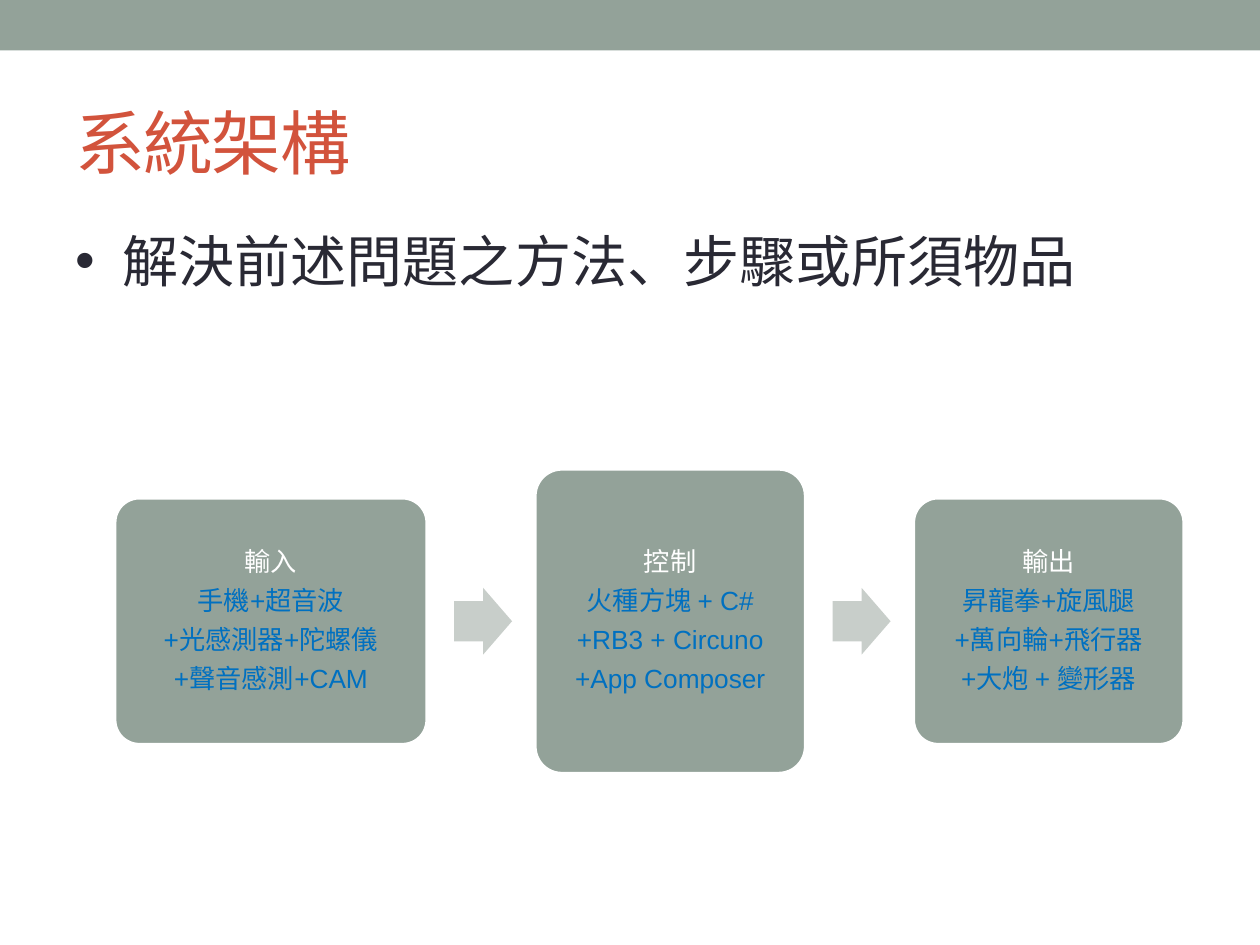
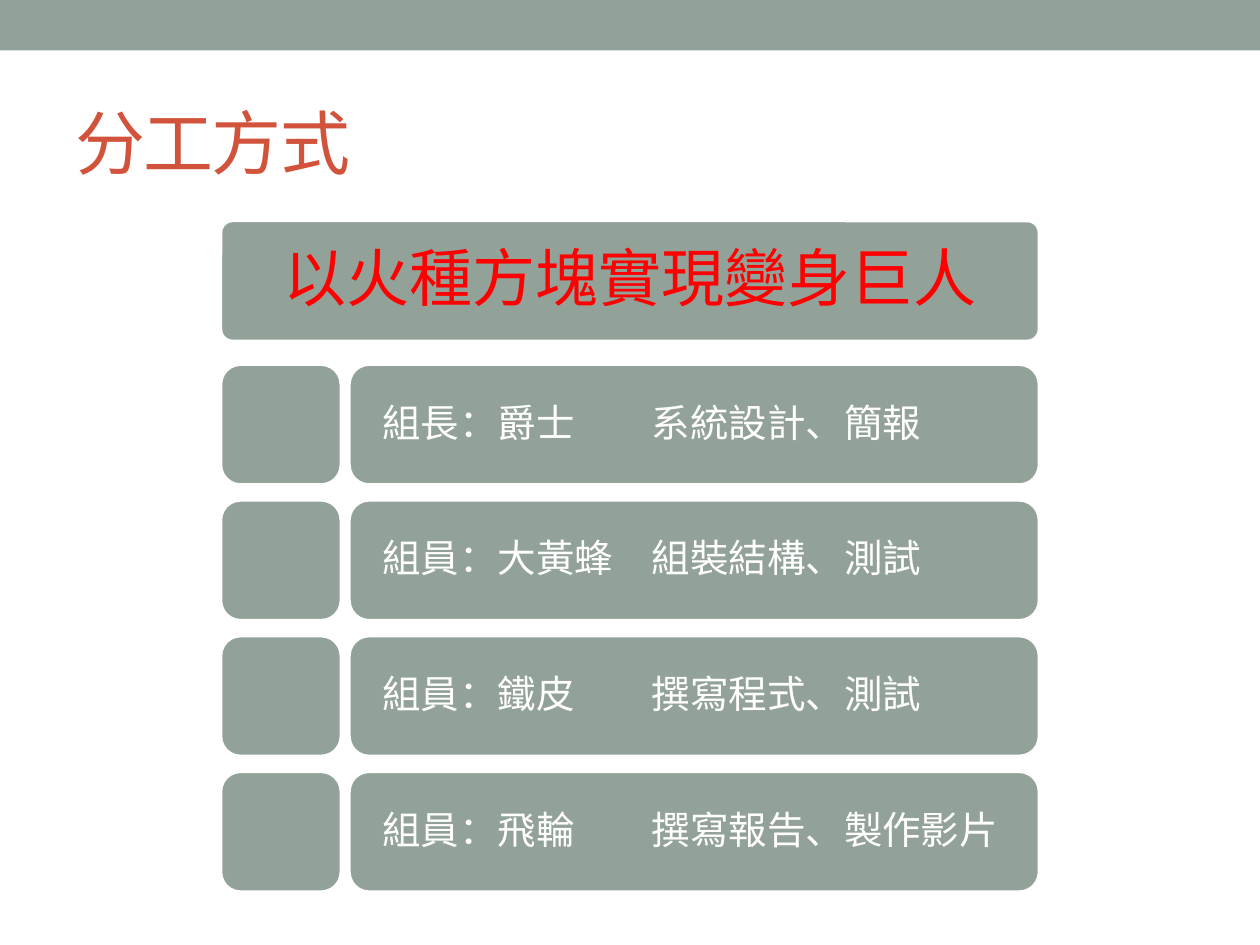
"""Build the system architecture and division of work slides."""
from pptx import Presentation
from pptx.dml.color import RGBColor
from pptx.enum import shapes, text
from pptx.oxml import ns, xmlchemy
from pptx.util import Pt

SAGE = RGBColor(0x93, 0xA2, 0x99)
PALE_SAGE = RGBColor(0xC8, 0xCE, 0xCA)
BRICK = RGBColor(0xD2, 0x53, 0x3C)
INK = RGBColor(0x29, 0x29, 0x34)
BLUE = RGBColor(0x00, 0x70, 0xC0)
RED = RGBColor(0xFF, 0x00, 0x00)
WHITE = RGBColor(0xFF, 0xFF, 0xFF)
FONT = "Arial"

ARCHITECTURE_TITLE = "系統架構"
ARCHITECTURE_POINT = "解決前述問題之方法、步驟或所須物品"
STAGES = [
    {"name": "輸入", "size": (178.6, 141.1),
     "parts": ["手機+超音波", "+光感測器+陀螺儀", "+聲音感測+CAM"]},
    {"name": "控制", "size": (154.8, 174.2),
     "parts": ["火種方塊 + C#", "+RB3 + Circuno", "+App Composer"]},
    {"name": "輸出", "size": (154.8, 141.1),
     "parts": ["昇龍拳+旋風腿", "+萬向輪+飛行器", "+大炮 + 變形器"]},
]
WORK_TITLE = "分工方式"
PROJECT = "以火種方塊實現變身巨人"
MEMBERS = [
    ("組長：爵士", "系統設計、簡報"),
    ("組員：大黃蜂", "組裝結構、測試"),
    ("組員：鐵皮", "撰寫程式、測試"),
    ("組員：飛輪", "撰寫報告、製作影片"),
]

SLIDE_WIDTH, SLIDE_HEIGHT = 720, 540
BAND_HEIGHT = 28.8
TITLE_AREA = (36, 41.8, 648, 77.8)
BODY_AREA = (36, 126, 648, 356.4)
FLOW_LEFT, FLOW_MIDDLE = 65.5, 355
ARROW_WIDTH, ARROW_HEIGHT = 33.1, 38.2
GAP_BEFORE_ARROW, GAP_AFTER_ARROW = 15.4, 13
CHART_LEFT, CHART_TOP, CHART_WIDTH = 126, 126, 468
ROW_HEIGHT, ROW_PITCH, FIRST_ROW_TOP = 69.1, 77.55, 208.1
BADGE_GAP = 4.3
TASK_TAB = 154


def apply(target, values):
    """Set each named attribute of the target."""
    for name, value in values.items():
        setattr(target, name, value)


def place(shape, area):
    """Move a shape to an area given in points."""
    apply(shape, dict(zip(("left", "top", "width", "height"), map(Pt, area))))


def write(paragraph, content, size, color):
    """Add one formatted run to a paragraph."""
    run = paragraph.add_run()
    run.text = content
    apply(run.font, {"name": FONT, "size": Pt(size)})
    run.font.color.rgb = color
    return run


def add_block(slide, kind, area, fill, adjustments=(), outlined=False):
    """Add a flat filled shape."""
    shape = slide.shapes.add_shape(kind, *map(Pt, area))
    shape.shadow.inherit = False
    shape.fill.solid()
    shape.fill.fore_color.rgb = fill
    for index, value in enumerate(adjustments):
        shape.adjustments[index] = value
    if outlined:
        shape.line.color.rgb = WHITE
        shape.line.width = Pt(2.08)
    else:
        shape.line.fill.background()
    return shape


def add_card(slide, area, roundness):
    """Add a rounded sage card."""
    return add_block(slide, shapes.MSO_SHAPE.ROUNDED_RECTANGLE, area, SAGE,
                     [roundness], outlined=True)


def fill_card(card, lines, size, inset, alignment):
    """Write (text, colour) lines into a card."""
    frame = card.text_frame
    apply(frame, {"word_wrap": True, "vertical_anchor": text.MSO_ANCHOR.MIDDLE})
    apply(frame, {f"margin_{side}": Pt(inset)
                  for side in ("left", "right", "top", "bottom")})
    for index, (content, color) in enumerate(lines):
        paragraph = frame.add_paragraph() if index else frame.paragraphs[0]
        apply(paragraph, {"alignment": alignment, "line_spacing": 0.9,
                          "space_after": Pt(size * 0.4)})
        write(paragraph, content, size, color)


def add_tab_stop(paragraph, position):
    """Give a paragraph one left tab stop."""
    properties = paragraph._p.get_or_add_pPr()
    tabs = xmlchemy.OxmlElement("a:tabLst")
    tab = tabs.makeelement(ns.qn("a:tab"), {"pos": str(Pt(position)), "algn": "l"})
    tabs.append(tab)
    properties.append(tabs)


def add_page(presentation, layout_index, title):
    """Add a slide with the shared band and title style."""
    slide = presentation.slides.add_slide(presentation.slide_layouts[layout_index])
    add_block(slide, shapes.MSO_SHAPE.RECTANGLE,
              (0, 0, SLIDE_WIDTH, BAND_HEIGHT), SAGE)
    heading = slide.shapes.title
    place(heading, TITLE_AREA)
    heading.text_frame.vertical_anchor = text.MSO_ANCHOR.MIDDLE
    paragraph = heading.text_frame.paragraphs[0]
    paragraph.alignment = text.PP_ALIGN.LEFT
    run = write(paragraph, title, 40, BRICK)
    run._r.get_or_add_rPr().set("spc", "-100")
    return slide


def build_architecture(presentation):
    """Build the flow from input through control to output."""
    slide = add_page(presentation, 1, ARCHITECTURE_TITLE)
    body = slide.placeholders[1]
    place(body, BODY_AREA)
    write(body.text_frame.paragraphs[0], ARCHITECTURE_POINT, 32, INK)
    left = FLOW_LEFT
    for index, stage in enumerate(STAGES):
        if index:
            left += GAP_BEFORE_ARROW
            add_block(slide, shapes.MSO_SHAPE.RIGHT_ARROW,
                      (left, FLOW_MIDDLE - ARROW_HEIGHT / 2, ARROW_WIDTH, ARROW_HEIGHT),
                      PALE_SAGE, [0.6, 0.5])
            left += ARROW_WIDTH + GAP_AFTER_ARROW
        width, height = stage["size"]
        card = add_card(slide, (left, FLOW_MIDDLE - height / 2, width, height), 0.1)
        lines = [(stage["name"], WHITE)] + [(part, BLUE) for part in stage["parts"]]
        fill_card(card, lines, 15, 8.6, text.PP_ALIGN.CENTER)
        left += width


def build_work(presentation):
    """Build the project banner and one row for each member."""
    slide = add_page(presentation, 5, WORK_TITLE)
    banner = add_card(slide, (CHART_LEFT, CHART_TOP, CHART_WIDTH, ROW_HEIGHT), 0.1)
    fill_card(banner, [(PROJECT, RED)], 36, 6, text.PP_ALIGN.CENTER)
    task_offset = ROW_HEIGHT + BADGE_GAP
    for index, member in enumerate(MEMBERS):
        top = FIRST_ROW_TOP + index * ROW_PITCH
        add_card(slide, (CHART_LEFT, top, ROW_HEIGHT, ROW_HEIGHT), 0.167)
        card = add_card(slide, (CHART_LEFT + task_offset, top,
                                CHART_WIDTH - task_offset, ROW_HEIGHT), 0.167)
        fill_card(card, [("\t".join(member), WHITE)], 22, 15.8, text.PP_ALIGN.LEFT)
        add_tab_stop(card.text_frame.paragraphs[0], TASK_TAB)


def main():
    """Build and save the presentation."""
    presentation = Presentation()
    apply(presentation, {"slide_width": Pt(SLIDE_WIDTH), "slide_height": Pt(SLIDE_HEIGHT)})
    build_architecture(presentation)
    build_work(presentation)
    presentation.save("out.pptx")


if __name__ == "__main__":
    main()
